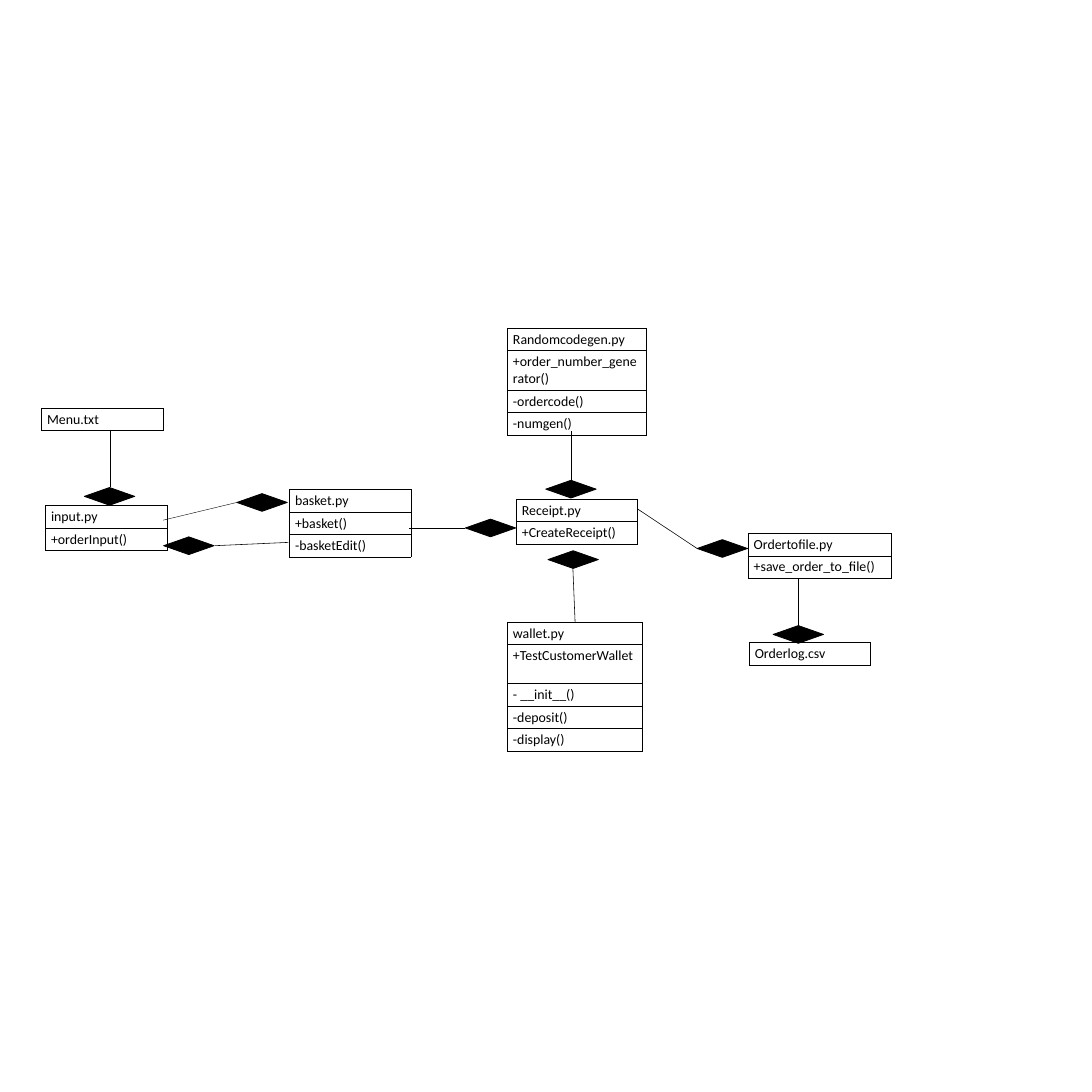
import pptx
import pptx.dml.color
import pptx.enum.shapes
import pptx.oxml
import pptx.oxml.ns
import pptx.util

Inches = pptx.util.Inches
Pt = pptx.util.Pt

COLORS = {"ink": "000000"}
FONT = {"name": "Calibri", "size": Pt(18), "bold": False}
TABLE_FLAGS = {"first_row": False, "horz_banding": False}
ROW_HEIGHT = 0.405
TALL_ROW = 0.7
BOX_WIDTH = 2.19
DIAMOND_WIDTH, DIAMOND_HEIGHT = 0.91, 0.32

# Left, top, width, then one text for each row
MODULES = [
    (0.82, 9.12, BOX_WIDTH, ["input.py", "+orderInput()"]),
    (9.31, 9, BOX_WIDTH, ["Receipt.py", "+CreateReceipt()"]),
    (5.22, 8.83, BOX_WIDTH, ["basket.py", "+basket()", "-basketEdit()"]),
    (0.75, 7.36, BOX_WIDTH, ["Menu.txt"]),
    (9.15, 11.22, 2.43, ["wallet.py", "+TestCustomerWallet", "- __init__()",
                         "-deposit()", "-display()"]),
    (9.15, 5.92, 2.5, ["Randomcodegen.py", "+order_number_generator()",
                       "-ordercode()", "-numgen()"]),
    (13.49, 9.62, 2.59, ["Ordertofile.py", "+save_order_to_file()"]),
    (13.51, 11.59, BOX_WIDTH, ["Orderlog.csv"]),
]
TALL_TEXTS = {"+TestCustomerWallet", "+order_number_generator()"}

# Diamond left and top, line start, line end, line width
COMPOSITIONS = [
    ((4.27, 8.9), (2.94, 9.38), (4.27, 9.06), 0.5),
    ((2.95, 9.68), (5.2, 9.78), (3.87, 9.84), 0.75),
    ((1.52, 8.79), (1.98, 8.78), (1.98, 7.75), 0.5),
    ((8.39, 9.36), (8.39, 9.52), (7.37, 9.52), 0.75),
    ((9.88, 9.93), (10.37, 11.22), (10.33, 10.25), 0.75),
    ((9.84, 8.66), (10.3, 8.66), (10.3, 7.78), 0.75),
    ((12.57, 9.73), (12.57, 9.89), (11.5, 9.18), 0.75),
    ((13.94, 11.28), (14.4, 11.28), (14.4, 10.42), 0.75),
]


def apply(target, values):
    """Set each attribute in values on the target."""
    for name, value in values.items():
        setattr(target, name, value)


class Diagram:
    """Holds the style and the current slide."""

    def __init__(self, page):
        """Keep the slide and its ink colour."""
        self.page = page
        self.ink = pptx.dml.color.RGBColor.from_string(COLORS["ink"])

    def stroke(self, line, width):
        """Colour a line and set its width."""
        line.color.rgb = self.ink
        line.width = Pt(width)

    def border(self, cell):
        """Draw a thin line on all four sides of a cell."""
        properties = cell._tc.get_or_add_tcPr()
        for side in ("lnL", "lnR", "lnT", "lnB"):
            properties.append(pptx.oxml.parse_xml(
                f'<a:{side} {pptx.oxml.ns.nsdecls("a")} w="{Pt(1)}"><a:solidFill>'
                f'<a:srgbClr val="{COLORS["ink"]}"/></a:solidFill></a:{side}>'))

    def module(self, left, top, width, texts):
        """Add a class box as a table of one column."""
        heights = [TALL_ROW if text in TALL_TEXTS else ROW_HEIGHT for text in texts]
        table = self.page.shapes.add_table(
            len(texts), 1, Inches(left), Inches(top),
            Inches(width), Inches(sum(heights))).table
        apply(table, TABLE_FLAGS)
        for row, height, text in zip(table.rows, heights, texts):
            row.height = Inches(height)
            cell = row.cells[0]
            self.border(cell)
            cell.fill.background()
            span = cell.text_frame.paragraphs[0].add_run()
            span.text = text
            apply(span.font, FONT)
            span.font.color.rgb = self.ink

    def diamond(self, left, top):
        """Add a filled composition diamond."""
        shape = self.page.shapes.add_shape(
            pptx.enum.shapes.MSO_SHAPE.DIAMOND, Inches(left), Inches(top),
            Inches(DIAMOND_WIDTH), Inches(DIAMOND_HEIGHT))
        shape.shadow.inherit = False
        shape.fill.solid()
        shape.fill.fore_color.rgb = self.ink
        self.stroke(shape.line, 1)

    def link(self, start, end, width):
        """Add a straight line without a shadow."""
        connector = self.page.shapes.add_connector(
            pptx.enum.shapes.MSO_CONNECTOR.STRAIGHT,
            *(Inches(value) for value in start + end))
        self.stroke(connector.line, width)
        connector._element.spPr.append(pptx.oxml.parse_xml(
            f'<a:effectLst {pptx.oxml.ns.nsdecls("a")}/>'))


def main():
    """Build the class diagram and save it."""
    deck = pptx.Presentation()
    apply(deck, {"slide_width": Inches(19.69), "slide_height": Inches(19.69)})
    diagram = Diagram(deck.slides.add_slide(deck.slide_layouts[6]))
    for module in MODULES:
        diagram.module(*module)
    for corner, start, end, width in COMPOSITIONS:
        diagram.diamond(*corner)
        diagram.link(start, end, width)
    deck.save("out.pptx")


main()
